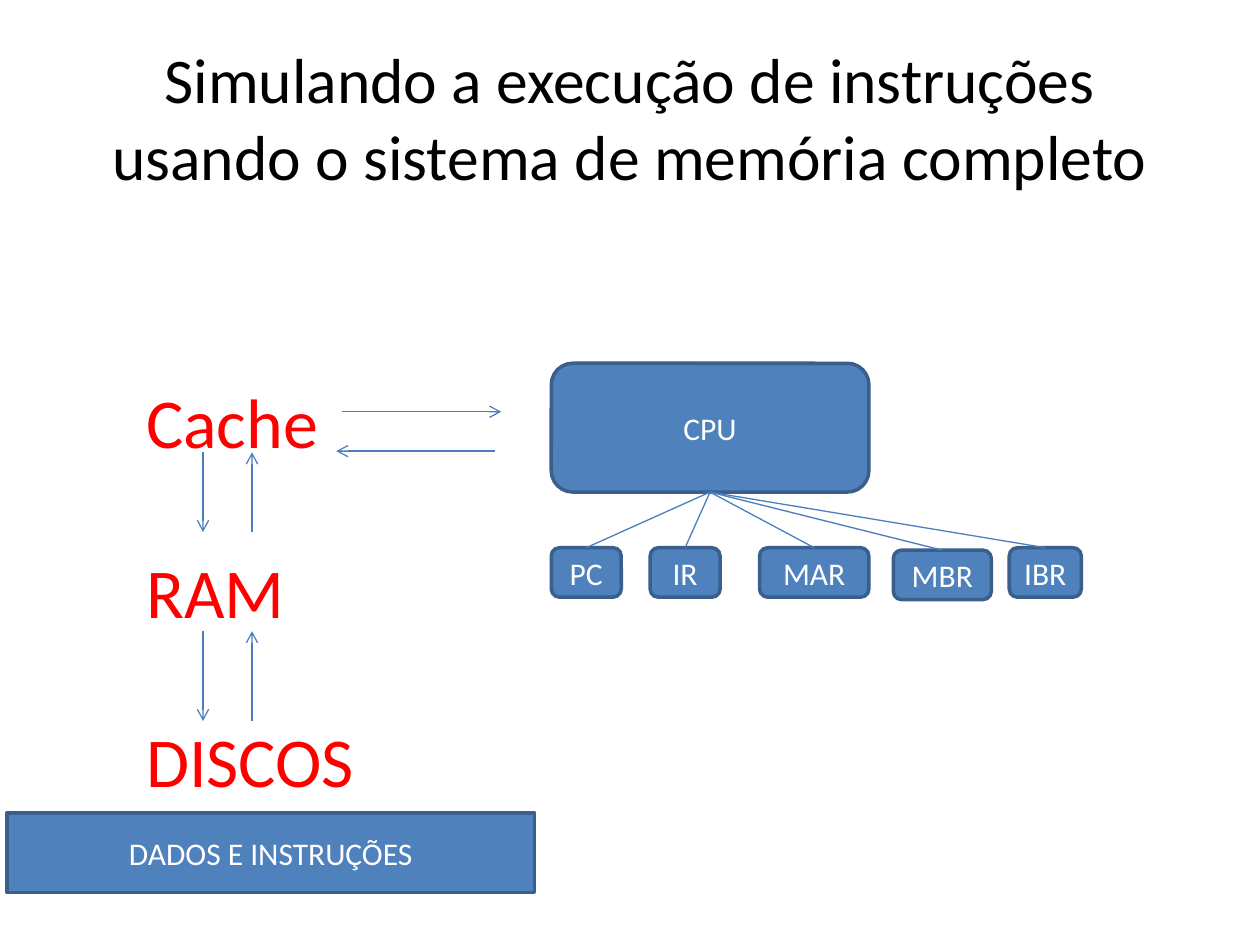
from lxml.etree import SubElement
from pptx import Presentation
from pptx.dml.color import RGBColor
from pptx.enum.shapes import MSO_CONNECTOR as Connector, MSO_SHAPE as Shape
from pptx.enum.text import MSO_ANCHOR as Anchor, PP_ALIGN as Align
from pptx.oxml.ns import qn
from pptx.util import Pt

COLORS = {"title": "000000", "memory": "FF0000", "label": "FFFFFF",
          "fill": "4F81BD", "border": "3A5F8C", "link": "4B7EBC"}
FONT = "Calibri"
BOTTOM, TOP = 2, 0


def color(name):
    return RGBColor.from_string(COLORS[name])


def format_text(paragraph, size, color_name, align):
    paragraph.alignment = align
    for run in paragraph.runs:
        run.font.name = FONT
        run.font.size = Pt(size)
        run.font.color.rgb = color(color_name)


def add_text(slide, bounds, lines, size, color_name, align, gap=0, wrap=True):
    frame = slide.shapes.add_textbox(*map(Pt, bounds)).text_frame
    frame.word_wrap = wrap
    frame.text = "\n".join(lines)
    for index, paragraph in enumerate(frame.paragraphs):
        format_text(paragraph, size, color_name, align)
        if index:
            paragraph.space_before = Pt(gap)
    return frame


def add_block(slide, kind, bounds, label):
    block = slide.shapes.add_shape(kind, *map(Pt, bounds))
    block.shadow.inherit = False
    block.fill.solid()
    block.fill.fore_color.rgb = color("fill")
    block.line.color.rgb = color("border")
    block.line.width = Pt(2)
    frame = block.text_frame
    frame.text = label
    frame.vertical_anchor = Anchor.MIDDLE
    frame.margin_left = frame.margin_right = 0
    format_text(frame.paragraphs[0], 18, "label", Align.CENTER)
    return block


def add_link(slide, start=(0, 0), end=(0, 0), arrow=False):
    link = slide.shapes.add_connector(Connector.STRAIGHT, *map(Pt, start + end))
    link.line.color.rgb = color("link")
    link.line.width = Pt(0.75)
    if arrow:
        SubElement(link.line._get_or_add_ln(), qn("a:tailEnd"), type="arrow")
    SubElement(link._element.spPr, qn("a:effectLst"))
    return link


def main():
    deck = Presentation()
    deck.slide_width, deck.slide_height = Pt(720), Pt(540)
    slide = deck.slides.add_slide(deck.slide_layouts[6])

    # Title
    title = add_text(
        slide, (36, 21.6, 648, 90),
        ["Simulando a execução de instruções usando o sistema de memória completo"],
        36.3, "title", Align.CENTER)
    title.vertical_anchor = Anchor.MIDDLE

    # Memory hierarchy, one line's height between levels
    add_text(slide, (76.5, 213, 134.5, 250), ["Cache", "RAM", "DISCOS"],
             40, "memory", Align.LEFT, gap=48.8, wrap=False)

    # Transfers down and up between memory levels
    for upper, lower in ((258.5, 304), (360.7, 412)):
        add_link(slide, (116, upper), (116, lower), arrow=True)
        add_link(slide, (144, lower), (144, upper), arrow=True)

    # Transfers between cache and CPU
    add_link(slide, (195.6, 235.3), (286.4, 235.3), arrow=True)
    add_link(slide, (283, 257.8), (192.2, 257.8), arrow=True)

    # Disk contents
    add_block(slide, Shape.RECTANGLE, (4, 464.5, 301.5, 45.5), "DADOS E INSTRUÇÕES")

    # CPU and its registers
    cpu = add_block(slide, Shape.ROUNDED_RECTANGLE, (315, 207.6, 181.5, 73.6), "CPU")
    registers = (("PC", 315, 313, 40), ("IR", 371.5, 313, 40),
                 ("MAR", 434, 313, 62.5), ("MBR", 510.5, 314.4, 56),
                 ("IBR", 576.7, 313, 41.2))
    for name, left, top, width in registers:
        register = add_block(slide, Shape.ROUNDED_RECTANGLE,
                             (left, top, width, 28.3), name)
        link = add_link(slide)
        link.begin_connect(cpu, BOTTOM)
        link.end_connect(register, TOP)

    deck.save("out.pptx")


if __name__ == "__main__":
    main()
